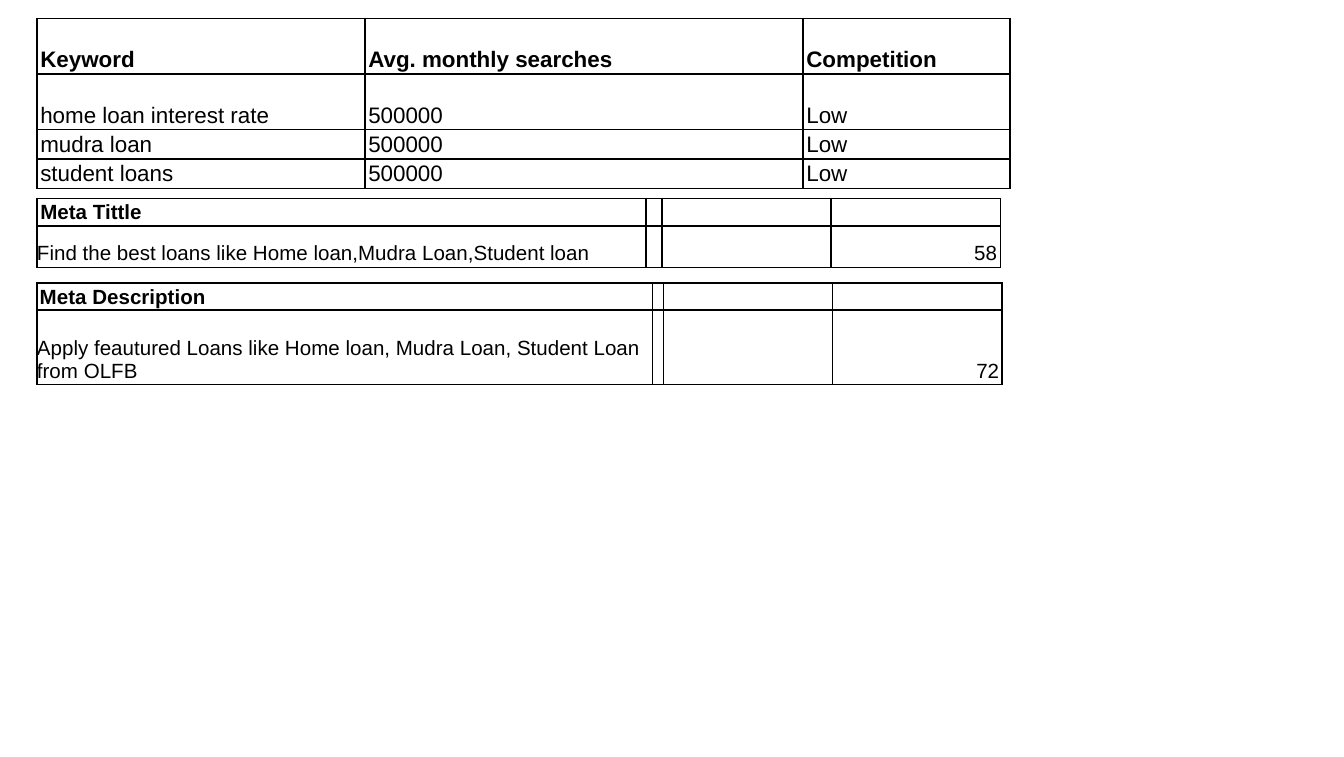
from pptx import Presentation
from pptx.dml.color import RGBColor
from pptx.enum import text
from pptx.oxml import parse_xml
from pptx.oxml.ns import nsdecls
from pptx.util import Pt

FONT = "Arial"
BLACK = "000000"
SLIDE_SIZE = (720, 405.36)
LEFT = 19.8

# "inset" is the cell margin (sides, top and bottom); "flush" cells have no side margin.
TABLES = [
    {
        "top": 9.8, "size": 12, "inset": (1.8, 1), "flush": [],
        "columns": [175.7, 234.7, 110.9], "rows": [29.8, 29.8, 15.8, 15.8],
        "cells": [
            ["Keyword", "Avg. monthly searches", "Competition"],
            ["home loan interest rate", "500000", "Low"],
            ["mudra loan", "500000", "Low"],
            ["student loans", "500000", "Low"],
        ],
    },
    {
        "top": 106.3, "size": 11, "inset": (1.8, 1.2), "flush": [(1, 0)],
        "columns": [326.2, 8.6, 90.7, 90.7], "rows": [14.7, 22.2],
        "cells": [
            ["Meta Tittle", "", "", ""],
            ["Find the best loans like Home loan,Mudra Loan,Student loan", "", "", "58"],
        ],
    },
    {
        "top": 151.6, "size": 11, "inset": (1.5, 0.8), "flush": [(1, 0)],
        "columns": [329.8, 5.8, 90.7, 90.7], "rows": [14.4, 39.8],
        "cells": [
            ["Meta Description", "", "", ""],
            ["Apply feautured Loans like Home loan, Mudra Loan, Student Loan from OLFB",
             "", "", "72"],
        ],
    },
]


def color(value):
    return RGBColor.from_string(value)


def add_borders(cell):
    properties = cell._tc.get_or_add_tcPr()
    for position, side in enumerate(("lnL", "lnR", "lnT", "lnB")):
        properties.insert(position, parse_xml(
            f'<a:{side} {nsdecls("a")} w="{Pt(1)}"><a:solidFill>'
            f'<a:srgbClr val="{BLACK}"/></a:solidFill></a:{side}>'))


def fill_cell(cell, content, size, bold, align_right, side_inset, end_inset):
    cell.text = content
    cell.vertical_anchor = text.MSO_ANCHOR.BOTTOM
    cell.margin_left = cell.margin_right = Pt(side_inset)
    cell.margin_top = cell.margin_bottom = Pt(end_inset)
    cell.fill.background()
    add_borders(cell)
    paragraph = cell.text_frame.paragraphs[0]
    if align_right:
        paragraph.alignment = text.PP_ALIGN.RIGHT
    font = paragraph.font
    font.name, font.size, font.bold = FONT, Pt(size), bold
    font.color.rgb = color(BLACK)
    if not content:  # keeps an empty cell from stretching its row
        paragraph._p.get_or_add_endParaRPr().set("sz", str(size * 100))


def add_table(slide, data):
    columns, rows = data["columns"], data["rows"]
    table = slide.shapes.add_table(
        len(rows), len(columns), Pt(LEFT), Pt(data["top"]),
        Pt(sum(columns)), Pt(sum(rows))).table
    table.first_row = table.horz_banding = False
    for column, width in zip(table.columns, columns):
        column.width = Pt(width)
    side_inset, end_inset = data["inset"]
    for r, contents in enumerate(data["cells"]):
        table.rows[r].height = Pt(rows[r])
        for c, content in enumerate(contents):
            fill_cell(table.cell(r, c), content, data["size"], bold=r == 0,
                      align_right=c == 3,
                      side_inset=0 if (r, c) in data["flush"] else side_inset,
                      end_inset=end_inset)


def main():
    presentation = Presentation()
    presentation.slide_width, presentation.slide_height = map(Pt, SLIDE_SIZE)
    slide = presentation.slides.add_slide(presentation.slide_layouts[6])
    for data in TABLES:
        add_table(slide, data)
    presentation.save("out.pptx")


if __name__ == "__main__":
    main()
